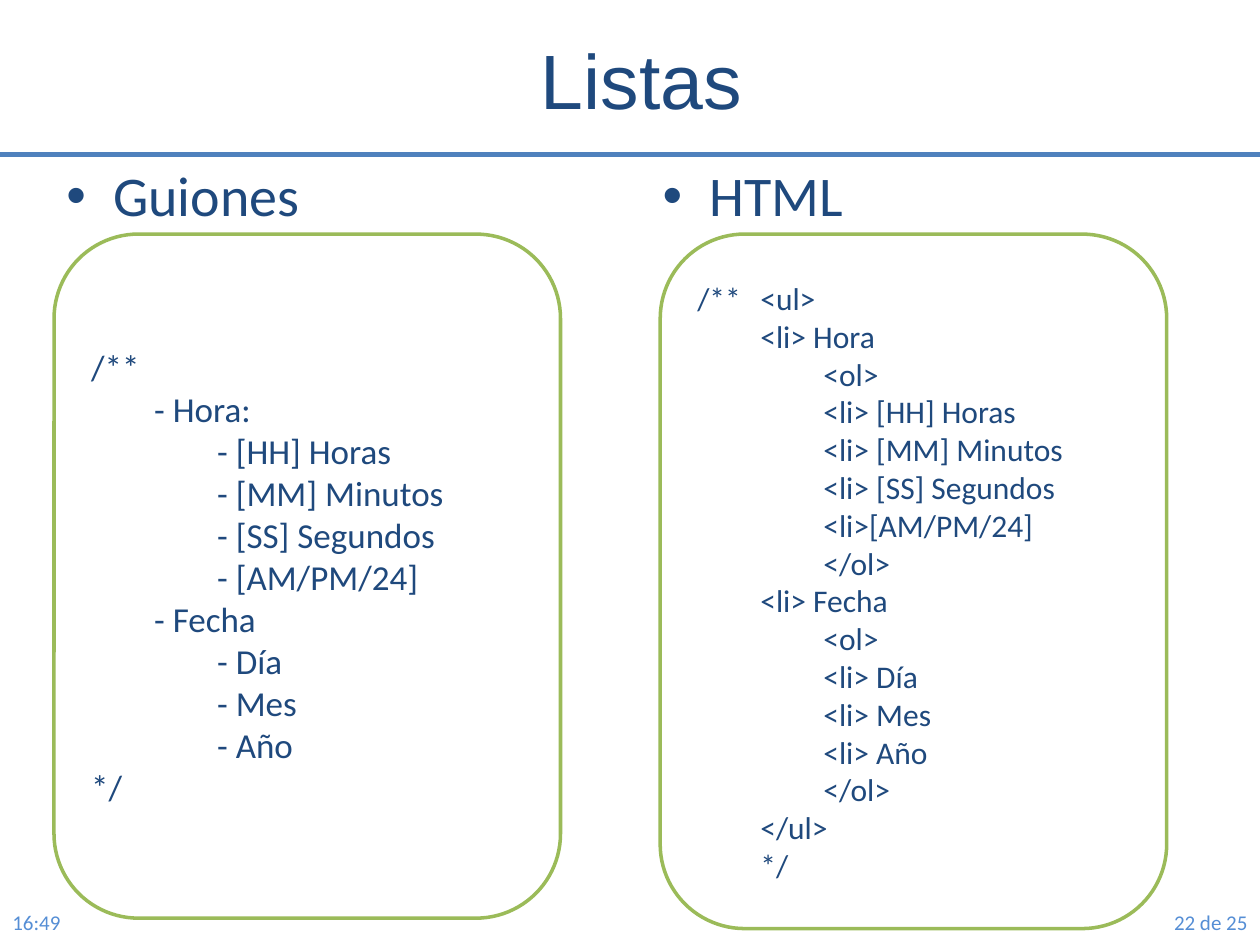
"""Build the slide "Listas": dash lists beside HTML lists in comments."""
from lxml import etree
from pptx import Presentation
from pptx import util as u
from pptx.dml.color import RGBColor
from pptx.enum import shapes, text
from pptx.oxml.ns import qn

NAVY = RGBColor(0x1F, 0x49, 0x7D)
BLUE = RGBColor(0x4F, 0x81, 0xBD)
SKY = RGBColor(0x55, 0x8E, 0xD5)
GREEN = RGBColor(0x9B, 0xBB, 0x59)
WHITE = RGBColor(0xFF, 0xFF, 0xFF)

INDENT = u.Cm(1.27)
HANGING = u.Cm(0.94)
RULE_Y = 3.12
PANEL_TOP = 4.72
PANEL_WIDTH = 10.21
LEFT, CENTER, RIGHT = text.PP_ALIGN.LEFT, text.PP_ALIGN.CENTER, text.PP_ALIGN.RIGHT

LABELS = [
    ("Listas", (1.5, 0, 22.86, 3.18), CENTER, {"size": u.Pt(44), "name": "Arial"}, NAVY),
    ("16:49", (0, 18.14, 2.11, 0.91), LEFT, {"size": u.Pt(12), "name": "Calibri"}, SKY),
    ("22 de 25", (22.91, 18.14, 2.49, 0.91), RIGHT, {"size": u.Pt(12), "name": "Calibri"}, SKY),
]

DASHES = [
    (0, "/**"),
    (1, "- Hora:"),
    (2, "- [HH] Horas"),
    (2, "- [MM] Minutos"),
    (2, "- [SS] Segundos"),
    (2, "- [AM/PM/24]"),
    (1, "- Fecha"),
    (2, "- Día"),
    (2, "- Mes"),
    (2, "- Año"),
    (0, "*/"),
]
TAGS = [
    (0, "/**\t<ul>"),
    (1, "<li> Hora"),
    (2, "<ol>"),
    (2, "<li> [HH] Horas"),
    (2, "<li> [MM] Minutos"),
    (2, "<li> [SS] Segundos"),
    (2, "<li>[AM/PM/24]"),
    (2, "</ol>"),
    (1, "<li> Fecha"),
    (2, "<ol>"),
    (2, "<li> Día"),
    (2, "<li> Mes"),
    (2, "<li> Año"),
    (2, "</ol>"),
    (1, "</ul>"),
    (1, "*/"),
]
COLUMNS = [
    {"heading": "Guiones", "heading_x": 1.09, "x": 1.09, "height": 13.79, "size": 20, "code": DASHES},
    {"heading": "HTML", "heading_x": 13.11, "x": 13.31, "height": 14, "size": 18, "code": TAGS},
]


def lengths(box):
    return [u.Cm(value) for value in box]


def set_font(paragraph, style, color):
    for key, value in style.items():
        setattr(paragraph.font, key, value)
    paragraph.font.color.rgb = color


def add_label(slide, wording, box, align, style, color, anchor=text.MSO_ANCHOR.MIDDLE):
    frame = slide.shapes.add_textbox(*lengths(box)).text_frame
    frame.word_wrap = True
    frame.vertical_anchor = anchor
    label = frame.paragraphs[0]
    label.text = wording
    label.alignment = align
    set_font(label, style, color)
    return label


def add_rule(slide):
    rule = slide.shapes.add_connector(shapes.MSO_CONNECTOR.STRAIGHT, *lengths((0, RULE_Y, 25.4, RULE_Y)))
    rule.line.color.rgb = BLUE
    rule.line.width = u.Pt(3)
    etree.SubElement(rule._element.spPr, qn("a:effectLst"))


def add_panel(slide, column):
    box = (column["x"], PANEL_TOP, PANEL_WIDTH, column["height"])
    panel = slide.shapes.add_shape(shapes.MSO_SHAPE.ROUNDED_RECTANGLE, *lengths(box))
    panel.shadow.inherit = False
    panel.fill.solid()
    panel.fill.fore_color.rgb = WHITE
    panel.line.color.rgb = GREEN
    panel.line.width = u.Pt(2)
    frame = panel.text_frame
    frame.word_wrap = True
    frame.vertical_anchor = text.MSO_ANCHOR.MIDDLE
    for number, (depth, wording) in enumerate(column["code"]):
        line = frame.add_paragraph() if number else frame.paragraphs[0]
        line.text = wording
        line.alignment = LEFT
        properties = line._p.get_or_add_pPr()
        properties.set("marL", str(depth * INDENT))
        properties.set("indent", "0")
        if "\t" in wording:
            stops = etree.SubElement(properties, qn("a:tabLst"))
            etree.SubElement(stops, qn("a:tab"), pos=str(INDENT), algn="l")
        set_font(line, {"size": u.Pt(column["size"]), "name": "Calibri"}, NAVY)


def add_heading(slide, column):
    box = (column["heading_x"], RULE_Y, 9.22, 1.68)
    style = {"size": u.Pt(32), "name": "Calibri"}
    heading = add_label(slide, column["heading"], box, LEFT, style, NAVY, text.MSO_ANCHOR.TOP)
    properties = heading._p.get_or_add_pPr()
    properties.set("marL", str(HANGING))
    properties.set("indent", str(-HANGING))
    bullet = etree.Element(qn("a:buChar"), char="•")
    typeface = etree.Element(qn("a:buFont"), typeface="Arial")
    for position, part in enumerate((typeface, bullet)):
        properties.insert(position, part)


def main():
    deck = Presentation()
    deck.slide_width, deck.slide_height = lengths((25.4, 19.05))
    slide = deck.slides.add_slide(deck.slide_layouts[6])
    for label in LABELS:
        add_label(slide, *label)
    add_rule(slide)
    for add_part in (add_panel, add_heading):
        for column in COLUMNS:
            add_part(slide, column)
    deck.save("out.pptx")


if __name__ == "__main__":
    main()
